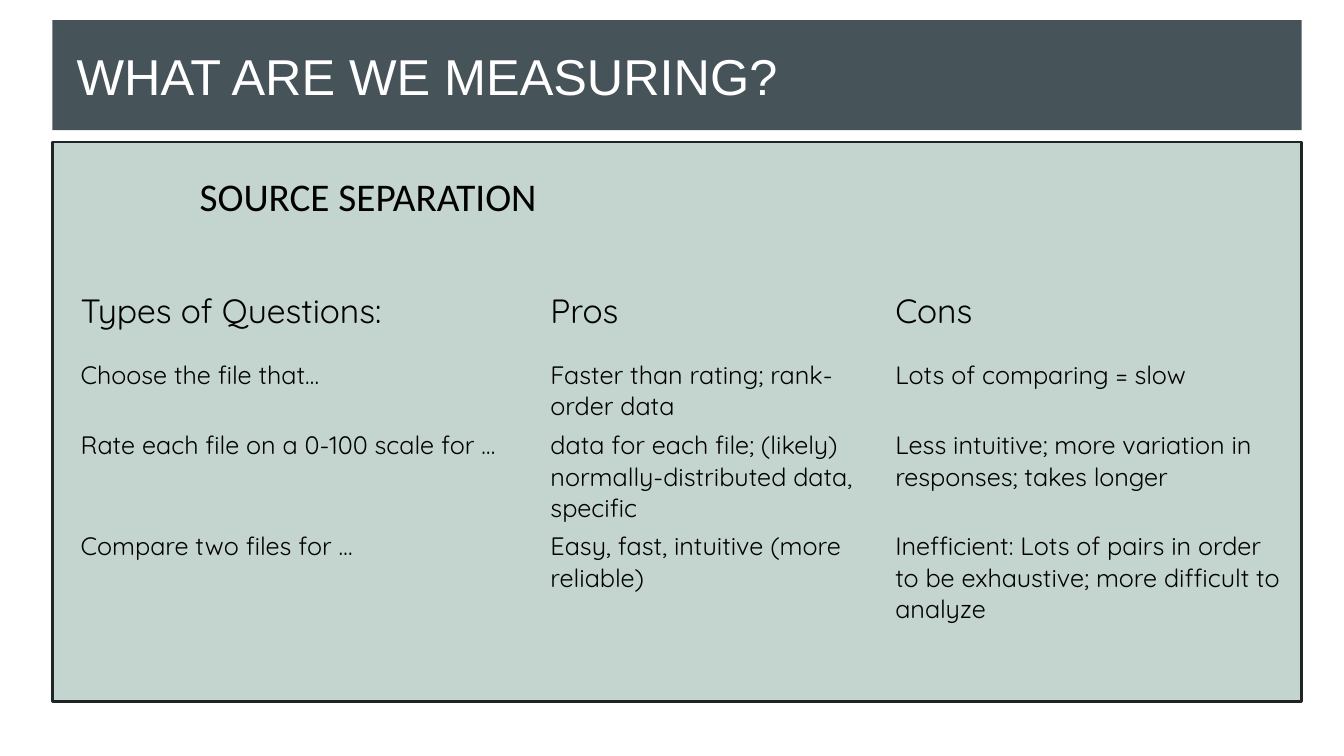
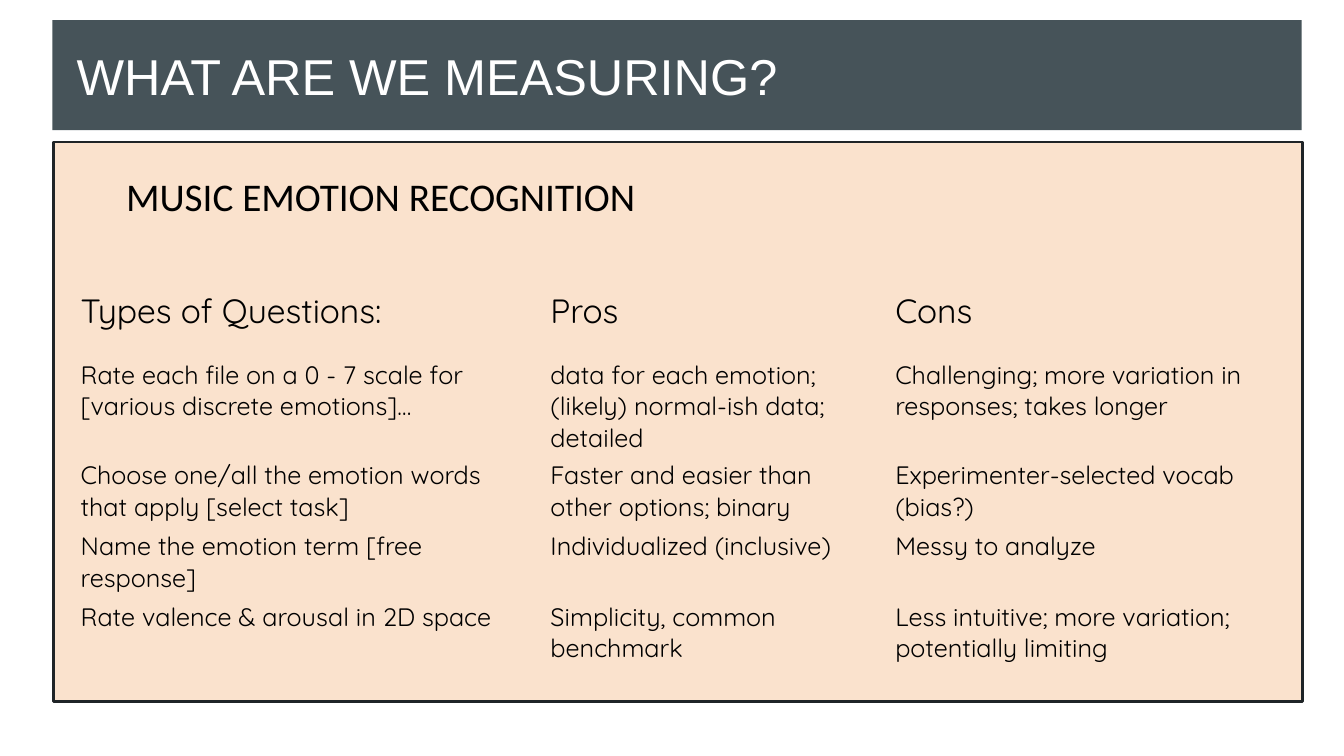
import pptx
import pptx.util
import pptx.dml.color
import pptx.enum.shapes
import pptx.enum.text
import pptx.oxml
import pptx.oxml.ns
from pptx.util import Inches

COLORS = {
    "band": "465359",
    "border": "1F2427",
    "sage": "98B7AB",
    "peach": "F8CEA9",
    "text": "000000",
    "title": "FFFFFF",
}
FONTS = {"title": "Arial", "heading": "Calibri", "table": "Quicksand"}
TITLE = "WHAT ARE WE MEASURING?"
TITLE_BOX = (0.52, 0.2, 12.39, 1.09)
PANEL_OPACITY = 58
COLUMN_HEADS = ("Types of Questions:", "Pros", "Cons")
COLUMN_WIDTHS = (4.66, 3.42, 4.04)
HEAD_HEIGHT, ROW_HEIGHT = 0.68, 0.41
PLAIN_TABLE_STYLE = "{2D5ABB26-0587-4C30-8999-92F81FD0307C}"

# Boxes are left, top, width, height; heading boxes are relative to the panel
TOPICS = [
    {
        "heading": "SOURCE SEPARATION",
        "color": "sage",
        "panel": (0.52, 1.41, 12.39, 5.55),
        "heading_box": (0.32, 0.25, 5.62, 0.57),
        "rows": [
            ("Choose the file that…",
             "Faster than rating; rank-order data",
             "Lots of comparing = slow"),
            ("Rate each file on a 0-100 scale for …",
             "data for each file; (likely) normally-distributed data, specific",
             "Less intuitive; more variation in responses; takes longer"),
            ("Compare two files for …",
             "Easy, fast, intuitive (more reliable)",
             "Inefficient: Lots of pairs in order to be exhaustive; "
             "more difficult to analyze"),
        ],
    },
    {
        "heading": "MUSIC EMOTION RECOGNITION",
        "color": "peach",
        "panel": (0.53, 1.41, 12.39, 5.55),
        "heading_box": (0.18, 0.25, 6.13, 0.57),
        "rows": [
            ("Rate each file on a 0 - 7 scale for [various discrete emotions]…",
             "data for each emotion; (likely) normal-ish data; detailed",
             "Challenging; more variation in responses; takes longer"),
            ("Choose one/all the emotion words that apply [select task]",
             "Faster and easier than other options; binary",
             "Experimenter-selected vocab (bias?)"),
            ("Name the emotion term [free response]",
             "Individualized (inclusive)",
             "Messy to analyze"),
            ("Rate valence & arousal in 2D space",
             "Simplicity, common benchmark",
             "Less intuitive; more variation; potentially limiting"),
        ],
    },
]


def rgb(name):
    return pptx.dml.color.RGBColor.from_string(COLORS[name])


def style_text(paragraph, font_name, size, color="text"):
    paragraph.font.name = font_name
    paragraph.font.size = pptx.util.Pt(size)
    paragraph.font.color.rgb = rgb(color)


def outline_text(run, width=0.75):
    """Give the letters of a run a thin outline."""
    line = pptx.oxml.parse_xml(
        f'<a:ln {pptx.oxml.ns.nsdecls("a")} w="{pptx.util.Pt(width)}"><a:solidFill>'
        f'<a:srgbClr val="{COLORS["text"]}"/></a:solidFill></a:ln>')
    run.font._element.insert(0, line)


def add_title(slide, box):
    title = slide.shapes.title
    title.left, title.top, title.width, title.height = map(Inches, box)
    title.fill.solid()
    title.fill.fore_color.rgb = rgb("band")
    frame = title.text_frame
    frame.text = TITLE
    frame.vertical_anchor = pptx.enum.text.MSO_ANCHOR.MIDDLE
    frame.margin_left = Inches(0.24)
    paragraph = frame.paragraphs[0]
    paragraph.alignment = pptx.enum.text.PP_ALIGN.LEFT
    style_text(paragraph, FONTS["title"], 36, "title")


def add_panel(slide, box, color):
    panel = slide.shapes.add_shape(
        pptx.enum.shapes.MSO_SHAPE.RECTANGLE, *map(Inches, box))
    panel.shadow.inherit = False
    panel.fill.solid()
    panel.fill.fore_color.rgb = rgb(color)
    panel.line.color.rgb = rgb("border")
    panel.line.width = pptx.util.Pt(1.75)
    # Let the slide show through the fill
    fill_color = panel._element.spPr.find("a:solidFill/a:srgbClr", pptx.oxml.ns._nsmap)
    fill_color.append(pptx.oxml.parse_xml(
        f'<a:alpha {pptx.oxml.ns.nsdecls("a")} val="{PANEL_OPACITY * 1000}"/>'))


def add_heading(slide, box, text):
    frame = slide.shapes.add_textbox(*map(Inches, box)).text_frame
    frame.word_wrap = True
    frame.text = text
    paragraph = frame.paragraphs[0]
    paragraph.alignment = pptx.enum.text.PP_ALIGN.CENTER
    style_text(paragraph, FONTS["heading"], 28)


def add_comparison(slide, left, top, rows):
    height = HEAD_HEIGHT + ROW_HEIGHT * len(rows)
    graphic_frame = slide.shapes.add_table(
        len(rows) + 1, len(COLUMN_HEADS),
        *map(Inches, (left, top, sum(COLUMN_WIDTHS), height)))
    table = graphic_frame.table
    table.first_row = table.horz_banding = False
    for style in graphic_frame._element.iter(pptx.oxml.ns.qn("a:tableStyleId")):
        style.text = PLAIN_TABLE_STYLE
    for column, width in zip(table.columns, COLUMN_WIDTHS):
        column.width = Inches(width)
    for row_index, texts in enumerate([COLUMN_HEADS, *rows]):
        is_head = row_index == 0
        table.rows[row_index].height = Inches(HEAD_HEIGHT if is_head else ROW_HEIGHT)
        for cell, text in zip(table.rows[row_index].cells, texts):
            cell.fill.background()
            cell.text = text
            paragraph = cell.text_frame.paragraphs[0]
            style_text(paragraph, FONTS["table"], 24 if is_head else 18)
            outline_text(paragraph.runs[0])


def add_topic_slide(presentation, topic):
    slide = presentation.slides.add_slide(presentation.slide_layouts[5])
    add_title(slide, TITLE_BOX)
    panel_left, panel_top = topic["panel"][:2]
    add_panel(slide, topic["panel"], topic["color"])
    left, top, width, height = topic["heading_box"]
    add_heading(slide, (panel_left + left, panel_top + top, width, height),
                topic["heading"])
    add_comparison(slide, TITLE_BOX[0] + 0.18, panel_top + 1.42, topic["rows"])


def main():
    presentation = pptx.Presentation()
    presentation.slide_width = Inches(13.33)
    presentation.slide_height = Inches(7.5)
    for topic in TOPICS:
        add_topic_slide(presentation, topic)
    presentation.save("out.pptx")


if __name__ == "__main__":
    main()
